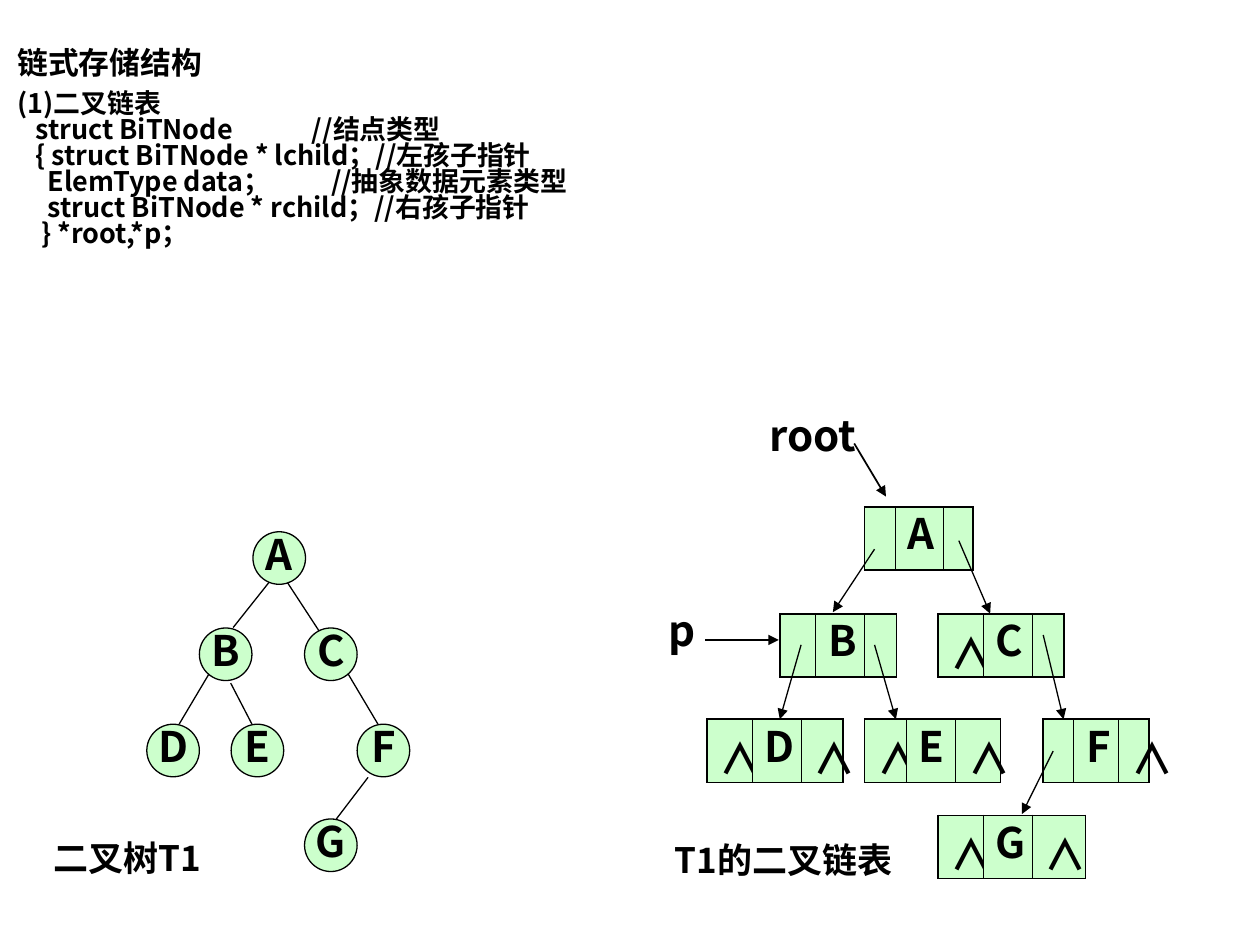
import pptx
import pptx.dml.color
import pptx.enum.shapes
import pptx.enum.text
import pptx.oxml
import pptx.oxml.ns
import pptx.util
from pptx.util import Cm, Pt

BLACK = pptx.dml.color.RGBColor(0x00, 0x00, 0x00)
GREEN = pptx.dml.color.RGBColor(0xCC, 0xFF, 0xCC)
FONT = "Noto Sans CJK SC"
NIL = "∧"

CODE = [
    "   struct BiTNode             //结点类型",
    "   { struct BiTNode * lchild；//左孩子指针",
    "     ElemType data；          //抽象数据元素类型",
    "     struct BiTNode * rchild；//右孩子指针",
    "    } *root,*p；",
]

# Tops of the tree levels; nodes as letter, left, level
TREE_TOPS = [10.72, 12.66, 14.6, 16.51]
TREE_NODES = [
    ("A", 5.1, 0), ("B", 4.02, 1), ("C", 6.14, 1), ("D", 2.96, 2),
    ("E", 4.66, 2), ("F", 7.2, 2), ("G", 6.14, 3),
]
TREE_EDGES = [
    (5.51, 11.63, 4.7, 12.65), (5.72, 11.63, 6.55, 12.9),
    (4.24, 13.54, 3.61, 14.6), (4.65, 13.77, 5.08, 14.6),
    (6.99, 13.54, 7.62, 14.6), (7.42, 15.67, 6.78, 16.51),
]

# Tops of the record levels; records as cell texts, left, level, column widths
RECORD_TOPS = [10.22, 12.38, 14.5, 16.44]
RECORDS = [
    (("", "A", ""), 17.43, 0, (0.61, 0.97, 0.61)),
    (("", "B", ""), 15.73, 1, (0.71, 0.99, 0.64)),
    ((NIL, "C", ""), 18.91, 1, (0.91, 0.99, 0.64)),
    ((NIL, "D", NIL), 14.25, 2, (0.91, 0.99, 0.84)),
    ((NIL, "E", NIL), 17.43, 2, (0.84, 0.99, 0.91)),
    (("", "F", NIL), 21.03, 2, (0.61, 0.91, 0.61)),
    ((NIL, "G", NIL), 18.91, 3, (0.91, 0.99, 1.07)),
]
RECORD_LINKS = [
    (17.63, 11.07, 16.79, 12.34), (19.33, 10.9, 19.96, 12.37),
    (16.15, 13, 15.72, 14.5), (17.63, 13, 18.06, 14.5),
    (21.03, 12.8, 21.44, 14.5), (21.23, 15.14, 20.6, 16.41),
]
POINTERS = [(14.22, 12.9, 15.7, 12.9), (17.22, 8.94, 17.86, 10.01)]


class Board:
    """Holds the current slide and the shared style."""

    def __init__(self, slide):
        self.slide = slide

    def style(self, paragraph, size, spacing=None):
        if spacing:
            paragraph.line_spacing = spacing
        if not paragraph.runs:
            paragraph.font.size = Pt(size)
        for run in paragraph.runs:
            run.font.size = Pt(size)
            run.font.bold = True
            run.font.name = FONT
            run.font.color.rgb = BLACK
            east_asian = pptx.oxml.parse_xml(
                f'<a:ea {pptx.oxml.ns.nsdecls("a")} typeface="{FONT}"/>')
            run.font._element.find(pptx.oxml.ns.qn("a:latin")).addnext(east_asian)

    def text(self, lines, left, top, width, height, wrap=True):
        """Add a text box; lines are (text, size, line spacing, space before)."""
        box = self.slide.shapes.add_textbox(Cm(left), Cm(top), Cm(width), Cm(height))
        box.text_frame.word_wrap = wrap
        box.text_frame.text = "\n".join(line[0] for line in lines)
        for paragraph, (_, size, spacing, before) in zip(box.text_frame.paragraphs, lines):
            paragraph.space_before = Pt(before)
            self.style(paragraph, size, spacing)

    def line(self, start_x, start_y, end_x, end_y, width=0.75, arrow=False):
        connector = self.slide.shapes.add_connector(
            pptx.enum.shapes.MSO_CONNECTOR.STRAIGHT,
            Cm(start_x), Cm(start_y), Cm(end_x), Cm(end_y))
        connector.line.color.rgb = BLACK
        connector.line.width = Pt(width)
        namespace = pptx.oxml.ns.nsdecls("a")
        if arrow:
            connector.line._get_or_add_ln().append(
                pptx.oxml.parse_xml(f'<a:tailEnd {namespace} type="triangle"/>'))
        connector._element.spPr.append(pptx.oxml.parse_xml(f"<a:effectLst {namespace}/>"))

    def node(self, letter, left, top, diameter=1.06):
        shape = self.slide.shapes.add_shape(
            pptx.enum.shapes.MSO_SHAPE.OVAL, Cm(left), Cm(top), Cm(diameter), Cm(diameter))
        shape.shadow.inherit = False
        shape.fill.solid()
        shape.fill.fore_color.rgb = GREEN
        shape.line.color.rgb = BLACK
        shape.line.width = Pt(0.75)
        frame = shape.text_frame
        frame.word_wrap = False
        frame.vertical_anchor = pptx.enum.text.MSO_ANCHOR.MIDDLE
        frame.text = letter
        frame.paragraphs[0].alignment = pptx.enum.text.PP_ALIGN.CENTER
        self.style(frame.paragraphs[0], 24, 0.8)

    def record(self, texts, left, top, widths, height=1.27):
        """Add a one-row table: left pointer, data, right pointer."""
        table = self.slide.shapes.add_table(
            1, len(texts), Cm(left), Cm(top), Cm(sum(widths)), Cm(height)).table
        table.first_row = table.horz_banding = False
        last = len(texts) - 1
        for index, (text, width) in enumerate(zip(texts, widths)):
            table.columns[index].width = Cm(width)
            cell = table.cell(0, index)
            cell.fill.solid()
            cell.fill.fore_color.rgb = GREEN
            cell.text_frame.text = text
            size = 24 if text else 12
            self.style(cell.text_frame.paragraphs[0], size, None if text == NIL else 0.75)
            self.borders(cell, L=1.08 if index == 0 else 0.45,
                         R=1.08 if index == last else 0.45, T=1.08, B=1.08)

    def borders(self, cell, **widths):
        properties = cell._tc.get_or_add_tcPr()
        for position, (side, width) in enumerate(widths.items()):
            properties.insert(position, pptx.oxml.parse_xml(
                f'<a:ln{side} {pptx.oxml.ns.nsdecls("a")} w="{int(Pt(width))}">'
                f'<a:solidFill><a:srgbClr val="{BLACK}"/></a:solidFill></a:ln{side}>'))


def main():
    presentation = pptx.Presentation()
    presentation.slide_width = Cm(25.4)
    presentation.slide_height = Cm(19.05)
    board = Board(presentation.slides.add_slide(presentation.slide_layouts[6]))

    heading = [("链式存储结构", 17.6, 0.8, 0), ("(1)二叉链表", 15.4, 0.8, 7)]
    board.text(heading + [(code, 15.4, 0.8, 0) for code in CODE], 0.1, 0.91, 24.56, 5.41)

    for edge in TREE_EDGES:
        board.line(*edge)
    for letter, left, level in TREE_NODES:
        board.node(letter, left, TREE_TOPS[level])
    board.text([("二叉树T1", 20, None, 0)], 0.83, 16.74, 3.61, 1.12)

    for texts, left, level, widths in RECORDS:
        board.record(texts, left, RECORD_TOPS[level], widths)
    for link in RECORD_LINKS:
        board.line(*link, arrow=True)
    for pointer in POINTERS:
        board.line(*pointer, width=1, arrow=True)
    board.text([("p", 24, None, 0)], 13.23, 12.07, 1.04, 1.27, wrap=False)
    board.text([("root", 24, None, 0)], 15.26, 8.13, 2.31, 1.27, wrap=False)
    board.text([("T1的二叉链表", 20, None, 0)], 13.35, 16.78, 5.03, 1.12)

    presentation.save("out.pptx")


if __name__ == "__main__":
    main()
